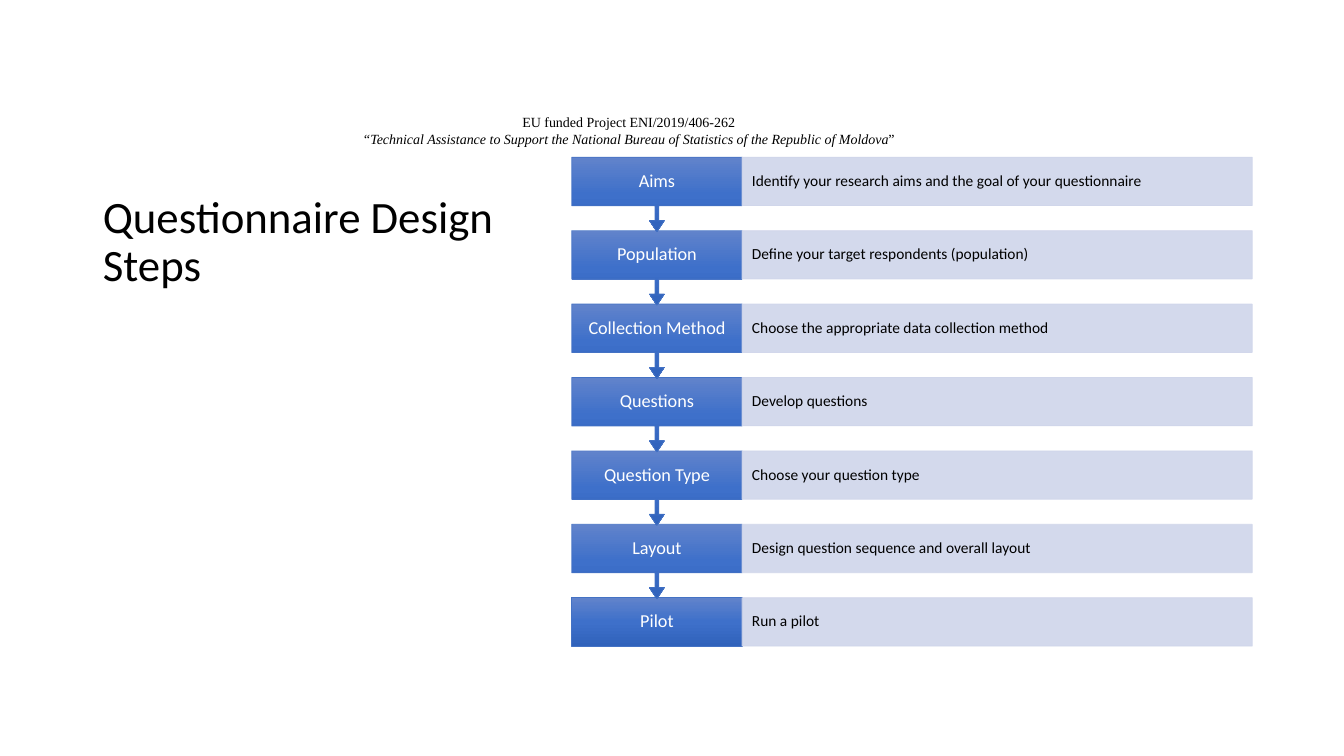
from copy import deepcopy
from pptx import Presentation
from pptx.dml.color import RGBColor
from pptx.enum.shapes import MSO_SHAPE as Shape
from pptx.enum.text import MSO_ANCHOR as Anchor, MSO_AUTO_SIZE as Auto, PP_ALIGN as Align
from pptx.oxml.ns import qn
from pptx.oxml.xmlchemy import OxmlElement as Node
from pptx.util import Inches, Pt

TITLE = "Questionnaire Design Steps"
HEAD = [
    [("EU funded Project ENI/2019/406-262", False)],
    [("“Technical Assistance to Support the National Bureau of Statistics "
      "of the Republic of Moldova", True), ("”", False)],
]
STEPS = [
    ("Aims", "Identify your research aims and the goal of your questionnaire"),
    ("Population", "Define your target respondents (population)"),
    ("Collection Method", "Choose the appropriate data collection method"),
    ("Questions", "Develop questions"),
    ("Question Type", "Choose your question type"),
    ("Layout", "Design question sequence and overall layout"),
    ("Pilot", "Run a pilot"),
]

BLACK = RGBColor(0x00, 0x00, 0x00)
WHITE = RGBColor(0xFF, 0xFF, 0xFF)
EDGE = RGBColor(0x44, 0x72, 0xC4)
PALE = RGBColor(0xCF, 0xD5, 0xEA)
BLUES = [RGBColor(0x61, 0x83, 0xCB), RGBColor(0x3E, 0x70, 0xCA), RGBColor(0x30, 0x62, 0xBB)]

WIDE, HIGH = 13.33, 7.5
LEFT, TOP, LAST = 5.67, 1.56, 5.93
STEP_W, NOTE_W = 1.69, 5.06
ROW_H, CALL_H = 0.48, 0.74
PITCH = (LAST - TOP) / (len(STEPS) - 1)


def write(shape, lines, size, color=BLACK, font="Calibri", align=Align.LEFT,
          anchor=Anchor.MIDDLE, pad=(0.1, 0.05), space=0.9):
    frame = shape.text_frame
    frame.word_wrap = True
    frame.auto_size = Auto.NONE
    frame.vertical_anchor = anchor
    frame.margin_left = frame.margin_right = Inches(pad[0])
    frame.margin_top = frame.margin_bottom = Inches(pad[1])
    for i, runs in enumerate(lines):
        para = frame.add_paragraph() if i else frame.paragraphs[0]
        para.alignment = align
        para.line_spacing = space
        for text, slant in runs:
            run = para.add_run()
            run.text = text
            run.font.size = Pt(size)
            run.font.name = font
            run.font.italic = slant
            run.font.color.rgb = color


def place(shape, x, y, w, h):
    shape.left, shape.top, shape.width, shape.height = map(Inches, (x, y, w, h))


def block(kind, x, y, w, h, edge):
    shape = slide.shapes.add_shape(kind, *map(Inches, (x, y, w, h)))
    shape.shadow.inherit = False
    shape.line.color.rgb = edge
    shape.line.width = Pt(0.5)
    return shape


def shade(shape):
    fill = shape.fill
    fill.gradient()
    fill.gradient_angle = 270
    stops = shape._element.spPr.find(".//" + qn("a:gsLst"))
    stops.insert(1, deepcopy(stops[0]))
    for i, (stop, blue) in enumerate(zip(fill.gradient_stops, BLUES)):
        stop.position = i / 2
        stop.color.rgb = blue


def fade(shape, share):
    for tone in shape._element.spPr.iter(qn("a:srgbClr")):
        alpha = Node("a:alpha")
        alpha.set("val", str(share * 1000))
        tone.append(alpha)


deck = Presentation()
deck.slide_width, deck.slide_height = Inches(WIDE), Inches(HIGH)
slide = deck.slides.add_slide(deck.slide_layouts[5])

head = slide.shapes.add_textbox(0, 0, 0, 0)
place(head, 2.9, 1.08, 6.67, 0.44)
write(head, HEAD, 10, font="Times New Roman", align=Align.CENTER,
      anchor=Anchor.TOP, space=1.0)

title = slide.shapes.title
place(title, 0.92, 1.56, 4.3, 1.38)
write(title, [[(TITLE, False)]], 32, anchor=Anchor.BOTTOM)

for i, (name, note) in reversed(list(enumerate(STEPS))):
    y = TOP + i * PITCH
    if i == len(STEPS) - 1:
        step = block(Shape.RECTANGLE, LEFT, y, STEP_W, ROW_H, EDGE)
    else:
        step = block(Shape.DOWN_ARROW_CALLOUT, LEFT, y, STEP_W, CALL_H, EDGE)
        for k, share in enumerate((0.05, 0.1, 0.15, 0.65)):
            step.adjustments[k] = share
    shade(step)
    write(step, [[(name, False)]], 13, color=WHITE, align=Align.CENTER, pad=(0.12, 0.1))

    bar = block(Shape.RECTANGLE, LEFT + STEP_W, y, NOTE_W, ROW_H, PALE)
    bar.fill.solid()
    bar.fill.fore_color.rgb = PALE
    fade(bar, 90)
    write(bar, [[(note, False)]], 11, pad=(0.1, 0.15))

deck.save("out.pptx")
